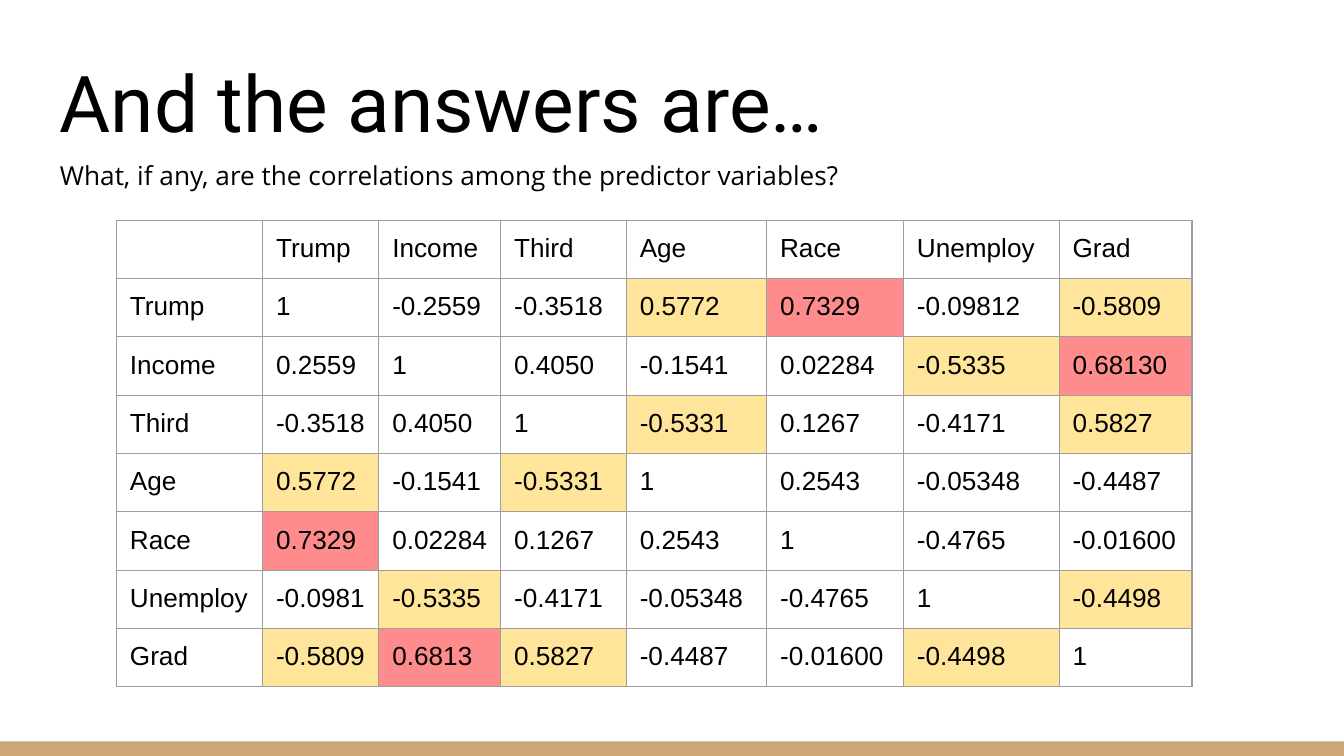
from lxml.etree import SubElement
from pptx import Presentation
from pptx.dml.color import RGBColor
from pptx.enum.shapes import MSO_SHAPE
from pptx.enum.text import MSO_ANCHOR, MSO_AUTO_SIZE, PP_ALIGN
from pptx.oxml.ns import qn
from pptx.util import Pt

TITLE = "And the answers are…"
QUESTION = "What, if any, are the correlations among the predictor variables?"
VARIABLES = ["Trump", "Income", "Third", "Age", "Race", "Unemploy", "Grad"]
CORRELATIONS = [
    ["1", "-0.2559", "-0.3518", "0.5772", "0.7329", "-0.09812", "-0.5809"],
    ["0.2559", "1", "0.4050", "-0.1541", "0.02284", "-0.5335", "0.68130"],
    ["-0.3518", "0.4050", "1", "-0.5331", "0.1267", "-0.4171", "0.5827"],
    ["0.5772", "-0.1541", "-0.5331", "1", "0.2543", "-0.05348", "-0.4487"],
    ["0.7329", "0.02284", "0.1267", "0.2543", "1", "-0.4765", "-0.01600"],
    ["-0.0981", "-0.5335", "-0.4171", "-0.05348", "-0.4765", "1", "-0.4498"],
    ["-0.5809", "0.6813", "0.5827", "-0.4487", "-0.01600", "-0.4498", "1"],
]
STRONG_PAIRS = [{"Trump", "Race"}, {"Income", "Grad"}]
MODERATE_PAIRS = [
    {"Trump", "Age"}, {"Trump", "Grad"}, {"Income", "Unemploy"},
    {"Third", "Age"}, {"Third", "Grad"}, {"Unemploy", "Grad"},
]
COLUMN_WIDTHS = [78.3, 62.3, 65.3, 67.3, 75.2, 73.3, 83.4, 71.2]
ROW_HEIGHT = 30.1
INSET = 7.2
STRONG, MODERATE, GRID, BAR, BLACK = "FF0000", "FFE599", "9E9E9E", "CCA677", "000000"


def color(hex_code):
    return RGBColor.from_string(hex_code)


def set_insets(target, top=INSET, bottom=INSET):
    target.margin_left = target.margin_right = Pt(INSET)
    target.margin_top, target.margin_bottom = Pt(top), Pt(bottom)


def write(frame, text, font_name, size):
    frame.text = text
    paragraph = frame.paragraphs[0]
    paragraph.alignment = PP_ALIGN.LEFT
    for run in paragraph.runs:
        run.font.name = font_name
        run.font.size = Pt(size)
        run.font.bold = False
        run.font.color.rgb = color(BLACK)


def add_solid(parent, hex_code, alpha=None):
    """Append a solid fill, with its opacity in percent when given."""
    fill = SubElement(parent, qn("a:solidFill"))
    tint = SubElement(fill, qn("a:srgbClr"), val=hex_code)
    if alpha:
        SubElement(tint, qn("a:alpha"), val=str(alpha * 1000))


def style_cell(cell, pair):
    properties = cell._tc.get_or_add_tcPr()
    for side in ("lnL", "lnR", "lnT", "lnB"):
        border = SubElement(properties, qn("a:" + side), w=str(Pt(0.75)))
        add_solid(border, GRID)
    if pair in STRONG_PAIRS:
        add_solid(properties, STRONG, 45)
    elif pair in MODERATE_PAIRS:
        add_solid(properties, MODERATE)
    else:
        cell.fill.background()


presentation = Presentation()
presentation.slide_width, presentation.slide_height = Pt(720), Pt(405)
slide = presentation.slides.add_slide(presentation.slide_layouts[5])

bar = slide.shapes.add_shape(MSO_SHAPE.RECTANGLE, Pt(0), Pt(397.2), Pt(720), Pt(7.8))
bar.shadow.inherit = False
bar.fill.solid()
bar.fill.fore_color.rgb = color(BAR)
bar.line.fill.background()

title = slide.shapes.title
title.left, title.top, title.width, title.height = Pt(24.8), Pt(21), Pt(671), Pt(65.5)
title.text_frame.auto_size = MSO_AUTO_SIZE.NONE
title.text_frame.vertical_anchor = MSO_ANCHOR.BOTTOM
set_insets(title.text_frame)
write(title.text_frame, TITLE, "Roboto", 42)

question = slide.shapes.add_textbox(Pt(25), Pt(66.2), Pt(671), Pt(41.8)).text_frame
question.word_wrap = True
set_insets(question, top=22, bottom=0)
write(question, QUESTION, "Open Sans", 14)

rows = [["", *VARIABLES]] + [[name, *values] for name, values in zip(VARIABLES, CORRELATIONS)]
table = slide.shapes.add_table(
    len(rows), len(COLUMN_WIDTHS), Pt(62.4), Pt(118),
    Pt(sum(COLUMN_WIDTHS)), Pt(ROW_HEIGHT * len(rows)),
).table
table.first_row = table.horz_banding = False
for column, width in zip(table.columns, COLUMN_WIDTHS):
    column.width = Pt(width)
for r, values in enumerate(rows):
    table.rows[r].height = Pt(ROW_HEIGHT)
    for c, value in enumerate(values):
        cell = table.cell(r, c)
        if value:
            set_insets(cell)
            write(cell.text_frame, value, "Arial", 14)
        style_cell(cell, {rows[r][0], rows[0][c]})

presentation.save("out.pptx")
